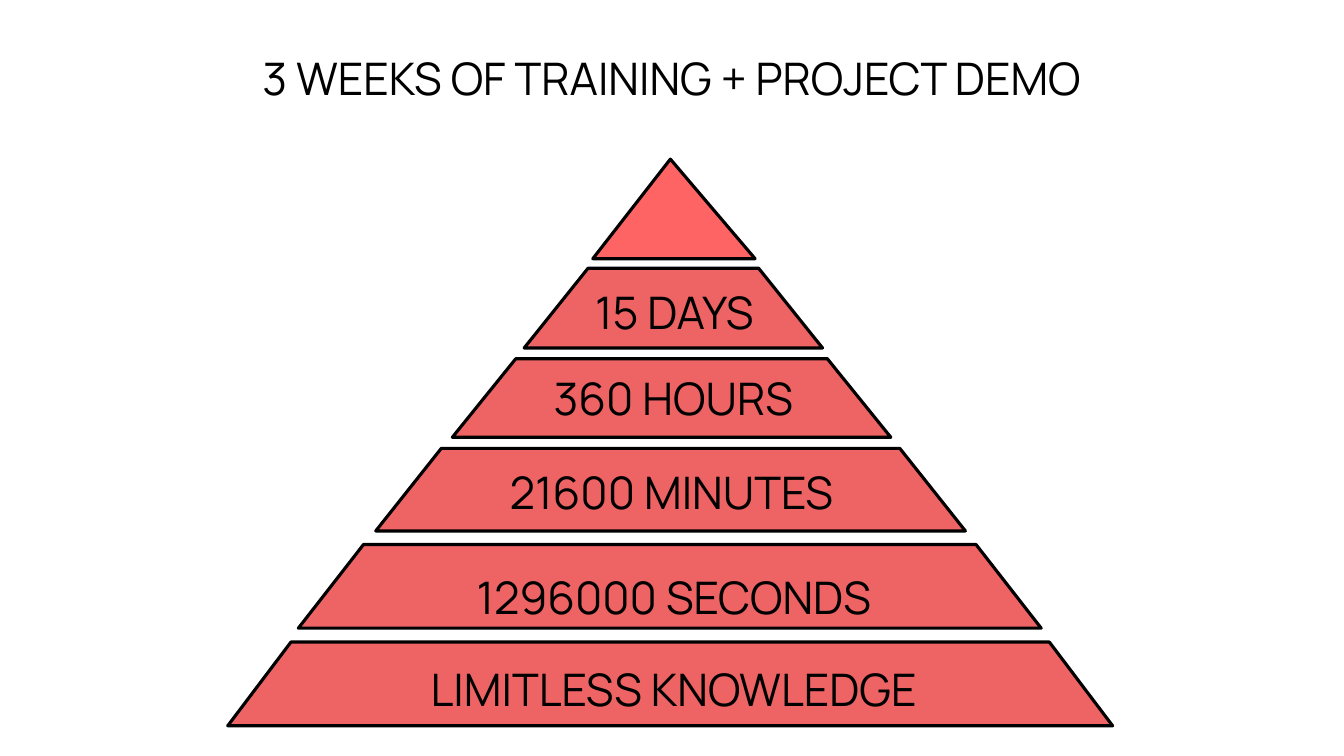
from pptx import Presentation
from pptx.dml.color import RGBColor
from pptx.enum.shapes import MSO_SHAPE as SHAPE
from pptx.enum.text import MSO_ANCHOR as ANCHOR, MSO_AUTO_SIZE as AUTO, PP_ALIGN as ALIGN
from pptx.util import Cm, Pt

FONT = "Manrope"
COLORS = {"text": "000000", "outline": "000000", "tier": "EE6464", "peak": "FF6464"}

# Boxes are left, top, width, height in cm
TITLE = ("3 WEEKS OF TRAINING + PROJECT DEMO", (0, 0.61, 33.87, 4.27))
PEAK = ((14.94, 4.01, 4.09, 2.51), 0.478)
TIERS = [  # box, slant
    ((13.21, 6.76, 7.52, 2.01), 0.801),
    ((11.4, 9.04, 11.05, 1.98), 0.808),
    ((9.47, 11.3, 14.86, 2.08), 0.794),
    ((7.52, 13.72, 18.72, 2.11), 0.779),
    ((5.74, 16.18, 22.3, 2.11), 0.755),
]
COMPACT_LABELS = [
    ("15 DAYS", (13.92, 7.04, 6.15, 1.63)),
    ("360 HOURS", (13.21, 9.22, 7.52, 1.63)),
    ("21600 MINUTES", (11.4, 11.58, 11.05, 1.63)),
]
WIDE_LABELS = [
    ("1296000 SECONDS", (4.55, 13.21, 24.87, 3.51)),
    ("LIMITLESS KNOWLEDGE", (4.55, 15.54, 24.87, 3.51)),
]


def rgb(name):
    return RGBColor.from_string(COLORS[name])


def add_level(s, kind, box, adjustment, color):
    sp = s.shapes.add_shape(kind, *map(Cm, box))
    sp.adjustments[0] = adjustment
    sp.shadow.inherit = False
    sp.fill.solid()
    sp.fill.fore_color.rgb = rgb(color)
    sp.line.color.rgb = rgb("outline")
    sp.line.width = Pt(2.25)


def add_label(s, text, box):
    tf = s.shapes.add_textbox(*map(Cm, box)).text_frame
    tf.word_wrap = True
    p = tf.paragraphs[0]
    p.alignment = ALIGN.CENTER
    r = p.add_run()
    r.text = text
    r.font.name = FONT
    r.font.size = Pt(32)
    r.font.color.rgb = rgb("text")
    return tf


def add_centred_label(s, text, box, bottom=0):
    """Centre the text vertically, above a bottom margin in cm."""
    tf = add_label(s, text, box)
    tf.vertical_anchor = ANCHOR.MIDDLE
    tf.margin_left = tf.margin_right = tf.margin_top = 0
    tf.margin_bottom = Cm(bottom)
    tf.paragraphs[0].line_spacing = 1.1


def main():
    prs = Presentation()
    prs.slide_width, prs.slide_height = Cm(33.87), Cm(19.05)
    s = prs.slides.add_slide(prs.slide_layouts[6])

    add_centred_label(s, *TITLE, bottom=1.7)
    add_level(s, SHAPE.ISOSCELES_TRIANGLE, *PEAK, "peak")
    for box, slant in TIERS:
        add_level(s, SHAPE.TRAPEZOID, box, slant, "tier")
    for text, box in COMPACT_LABELS:
        add_label(s, text, box).auto_size = AUTO.SHAPE_TO_FIT_TEXT
    for text, box in WIDE_LABELS:
        add_centred_label(s, text, box)

    prs.save("out.pptx")


if __name__ == "__main__":
    main()
